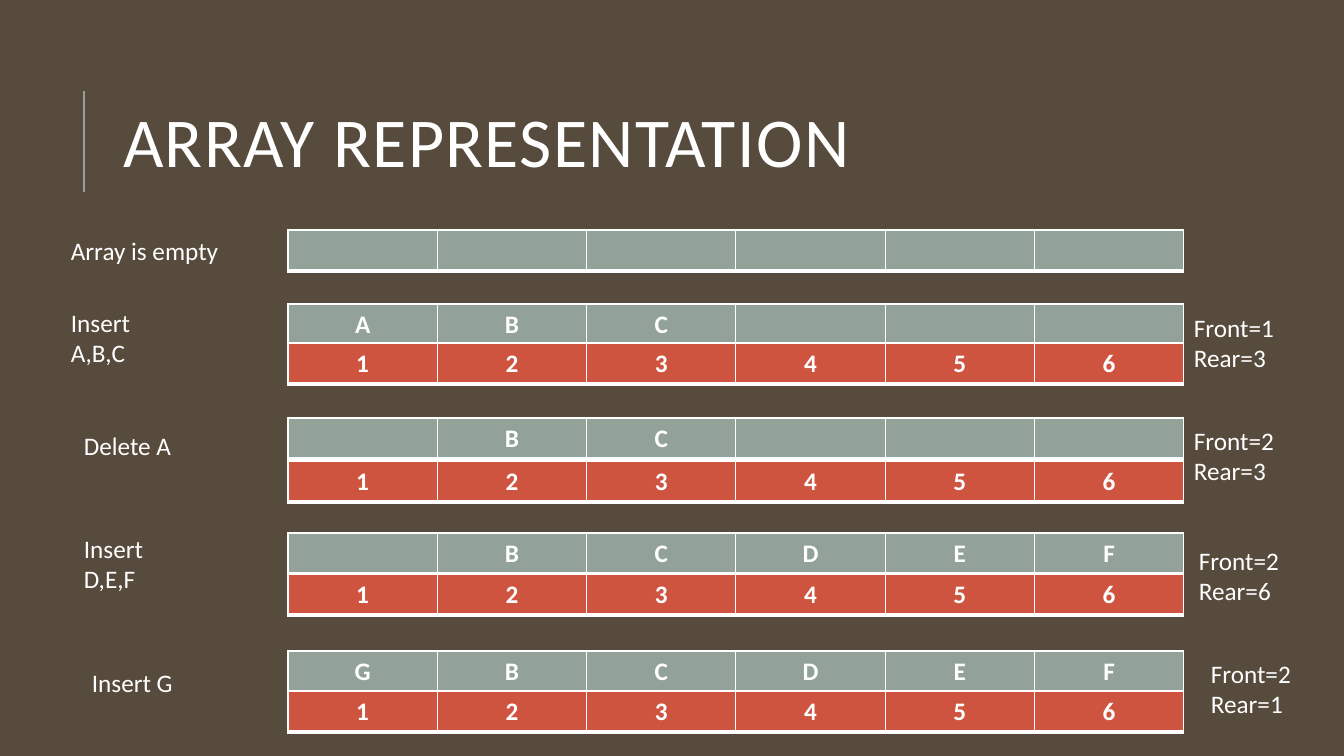
"""Build a slide showing how inserts and deletes change a queue held in an array."""
from lxml.etree import SubElement
from pptx import Presentation
from pptx.dml.color import RGBColor
from pptx.enum.shapes import MSO_CONNECTOR
from pptx.enum.text import MSO_ANCHOR, MSO_AUTO_SIZE, PP_ALIGN
from pptx.oxml import parse_xml
from pptx.oxml.ns import nsdecls, qn
from pptx.util import Emu, Pt

BROWN = RGBColor(0x56, 0x4B, 0x3C)
SAGE = RGBColor(0x93, 0xA2, 0x99)
RED = RGBColor(0xCF, 0x54, 0x3F)
WHITE = RGBColor(0xFF, 0xFF, 0xFF)
PX = 914400 / 100.8
FONT = "Calibri"
SLOTS = 6
ARRAY_LEFT, ARRAY_WIDTH, ROW_HEIGHT = 288, 896, 41
BORDERS = {"lnL": 1, "lnR": 1, "lnT": 1, "lnB": 3}


def box(*lengths):
    return [Emu(round(length * PX)) for length in lengths]


def add_run(paragraph, text, size=18, bold=False):
    run = paragraph.add_run()
    run.text = text
    run.font.name = FONT
    run.font.size = Pt(size)
    run.font.bold = bold
    run.font.color.rgb = WHITE
    return run


presentation = Presentation()
presentation.slide_width, presentation.slide_height = box(1344, 756)
slide = presentation.slides.add_slide(presentation.slide_layouts[5])
slide.background.fill.solid()
slide.background.fill.fore_color.rgb = BROWN

accent = slide.shapes.add_connector(MSO_CONNECTOR.STRAIGHT, *box(84, 192, 84, 91))
accent.line.color.rgb = SAGE
accent.line.width = Pt(1.5)
SubElement(accent.element.spPr, qn("a:effectLst"))

title = slide.shapes.title
title.left, title.top, title.width, title.height = box(113, 65, 1072, 165)
title.text_frame.auto_size = MSO_AUTO_SIZE.NONE
title.text_frame.vertical_anchor = MSO_ANCHOR.MIDDLE
heading = title.text_frame.paragraphs[0]
heading.alignment = PP_ALIGN.LEFT
heading.line_spacing = 0.8
heading_run = add_run(heading, "ARRAY REPRESENTATION", 50)
heading_run.font._element.set("spc", "100")

INDEXES = "123456"
array_rows = [
    (230, "      ", SAGE),
    (304, "ABC   ", SAGE),
    (343, INDEXES, RED),
    (418, " BC   ", SAGE),
    (461, INDEXES, RED),
    (533, " BCDEF", SAGE),
    (574, INDEXES, RED),
    (651, "GBCDEF", SAGE),
    (691, INDEXES, RED),
]
for top, values, color in array_rows:
    frame = slide.shapes.add_table(
        1, SLOTS, *box(ARRAY_LEFT, top, ARRAY_WIDTH, ROW_HEIGHT))
    array = frame.table
    array.horz_banding = False
    for column in array.columns:
        column.width = Emu(round(ARRAY_WIDTH * PX / SLOTS))
    for cell, value in zip(array.rows[0].cells, values):
        properties = cell._tc.get_or_add_tcPr()
        for side, points in BORDERS.items():
            properties.append(parse_xml(
                f'<a:{side} {nsdecls("a")} w="{Pt(points)}"><a:solidFill>'
                f'<a:srgbClr val="{WHITE}"/></a:solidFill></a:{side}>'))
        cell.fill.solid()
        cell.fill.fore_color.rgb = color
        cell_text = cell.text_frame.paragraphs[0]
        cell_text.alignment = PP_ALIGN.CENTER
        if value.strip():
            add_run(cell_text, value, bold=True)

captions = [
    (61, 230, 170, 40, ["Array is empty"]),
    (61, 302, 129, 71, ["Insert A,B,C"]),
    (74, 425, 129, 40, ["Delete A"]),
    (74, 528, 129, 71, ["Insert D,E,F"]),
    (82, 662, 129, 40, ["Insert G"]),
    (1184, 307, 110, 71, ["Front=1", "Rear=3"]),
    (1184, 420, 110, 71, ["Front=2", "Rear=3"]),
    (1189, 540, 110, 71, ["Front=2", "Rear=6"]),
    (1201, 653, 110, 71, ["Front=2", "Rear=1"]),
]
for left, top, width, height, lines in captions:
    caption = slide.shapes.add_textbox(*box(left, top, width, height)).text_frame
    caption.word_wrap = True
    caption.auto_size = MSO_AUTO_SIZE.SHAPE_TO_FIT_TEXT
    for number, line in enumerate(lines):
        paragraph = caption.add_paragraph() if number else caption.paragraphs[0]
        add_run(paragraph, line)

presentation.save("out.pptx")
